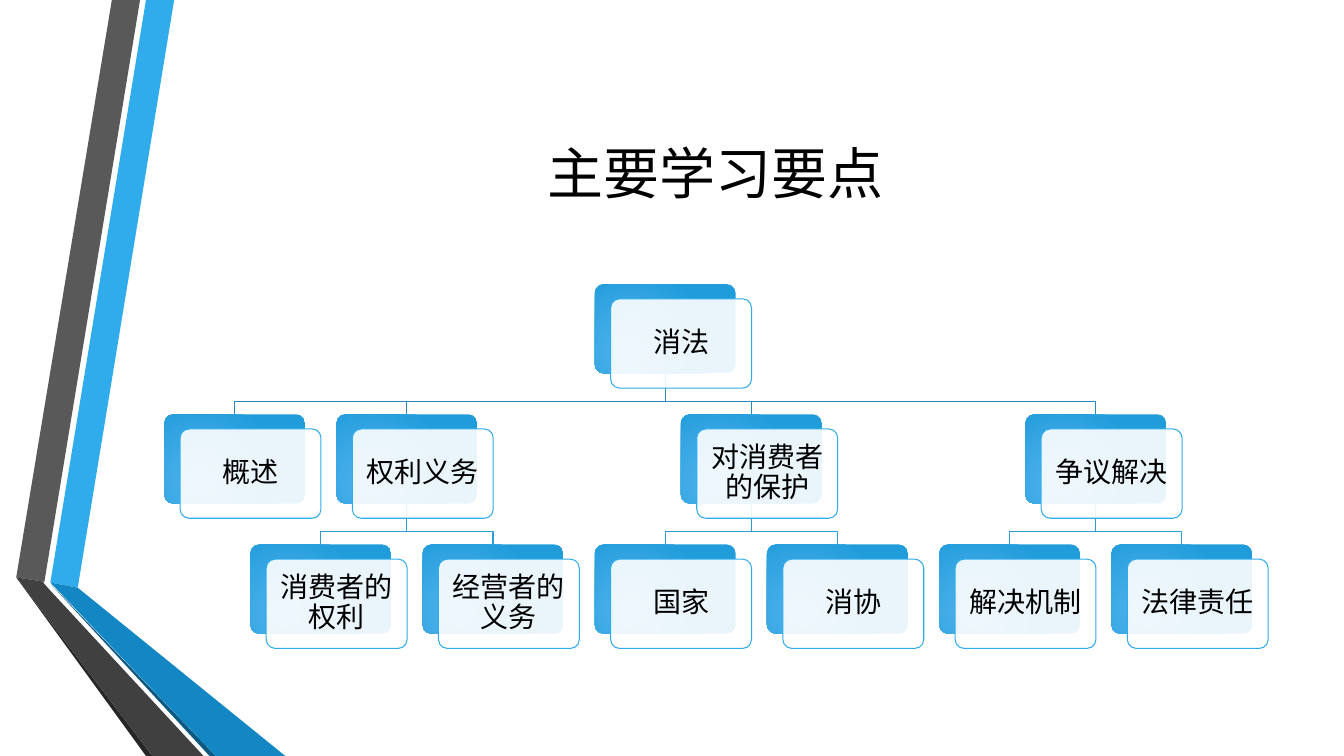
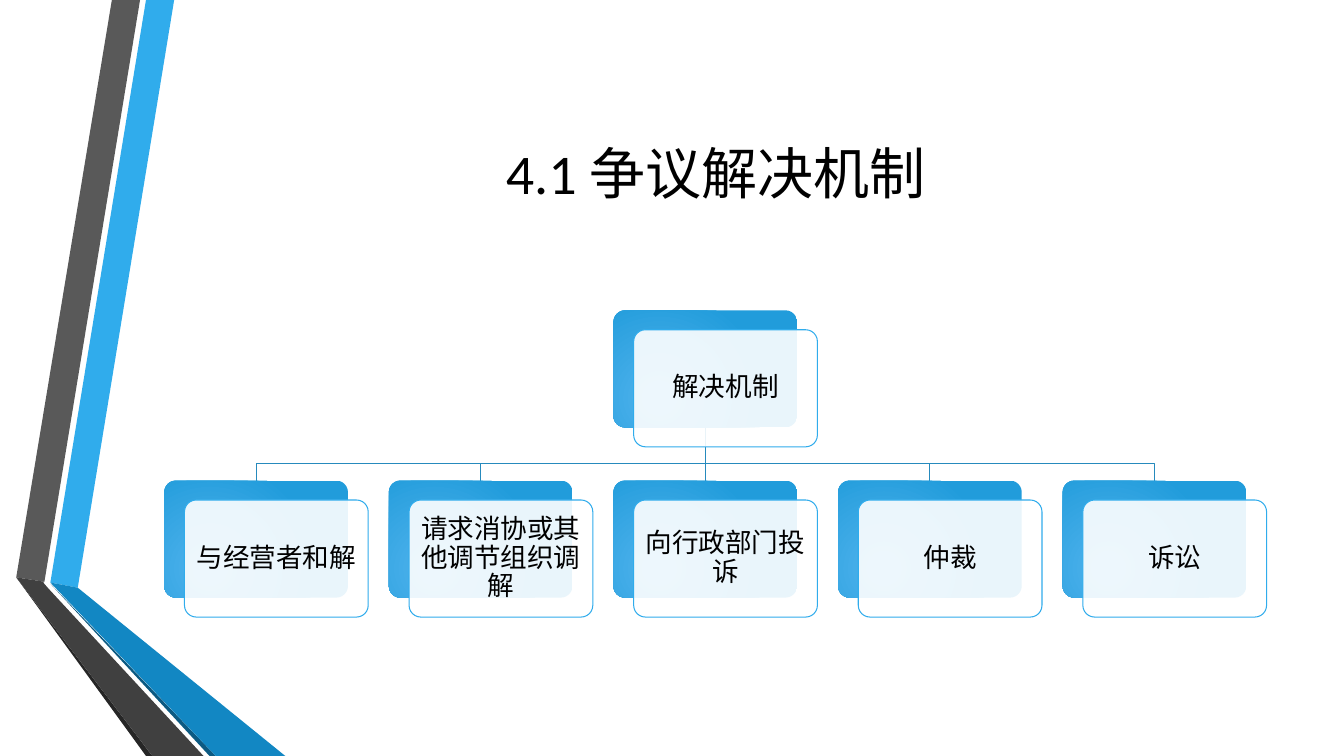
"""Build two slides that show consumer-law topics as tree diagrams."""
from collections.abc import Iterator
from dataclasses import dataclass
from typing import Any

import lxml.etree
import pptx
import pptx.dml.color
import pptx.enum.shapes
import pptx.enum.text
import pptx.oxml.ns
import pptx.util

Cm = pptx.util.Cm
SHAPE = pptx.enum.shapes.MSO_SHAPE
Point = tuple[float, float]

FONT = "Calibri"
BLACK, WHITE, SKY = "000000", "FFFFFF", "30ACEC"
BOX_GLOW, BOX_EDGE = "51B3ED", "219CDB"
LINK_COLORS = ("268ABD", "2C9CD6")
LINE_WIDTH = 0.75


@dataclass(frozen=True)
class Band:
    color: str
    points: tuple[Point, ...]


@dataclass(frozen=True)
class Node:
    text: str
    leaf_column: float = 0
    children: tuple["Node", ...] = ()

    @property
    def column(self) -> float:
        if not self.children:
            return self.leaf_column
        return (self.children[0].column + self.children[-1].column) / 2


@dataclass(frozen=True)
class Tree:
    title: str
    root: Node
    top: float
    width: float
    height: float
    column_step: float
    row_step: float
    shift_x: float
    shift_y: float
    drop: float
    size: float
    left: float = 4.14

    def corner(self, node: Node, level: int) -> Point:
        return (self.left + node.column * self.column_step,
                self.top + level * self.row_step)


BANDS = (
    Band(SKY, ((1.27, 14.68), (1.96, 14.81), (4.39, 0), (3.68, 0))),
    Band("595959", ((3.53, 0), (2.82, 0), (0.41, 14.55), (1.12, 14.66))),
    Band("262626", ((0.41, 14.55), (3.68, 19.05), (3.84, 19.05))),
    Band("0C5A82", ((1.27, 14.71), (5.28, 19.05), (5.44, 19.05))),
    Band("1287C3", ((1.27, 14.68), (5.44, 19.05), (7.19, 19.05), (1.96, 14.81))),
    Band("404040", ((5.13, 19.05), (1.22, 14.83), (1.09, 14.68), (1.12, 14.66),
                    (0.41, 14.55), (3.84, 19.05))),
)

TREES = (
    Tree("主要学习要点",
         Node("消法", children=(
             Node("概述", 0),
             Node("权利义务", children=(
                 Node("消费者的权利", 0.5), Node("经营者的义务", 1.5))),
             Node("对消费者的保护", children=(
                 Node("国家", 2.5), Node("消协", 3.5))),
             Node("争议解决", children=(
                 Node("解决机制", 4.5), Node("法律责任", 5.5))),
         )),
         top=7.16, width=3.55, height=2.25, column_step=4.34, row_step=3.28,
         shift_x=0.4, shift_y=0.37, drop=0.33, size=20),
    Tree("4.1 争议解决机制",
         Node("解决机制", children=tuple(
             Node(text, i) for i, text in enumerate((
                 "与经营者和解", "请求消协或其他调节组织调解", "向行政部门投诉",
                 "仲裁", "诉讼")))),
         top=7.82, width=4.63, height=2.95, column_step=5.66, row_step=4.29,
         shift_x=0.51, shift_y=0.49, drop=0.43, size=19),
)


def rgb(value: str) -> pptx.dml.color.RGBColor:
    return pptx.dml.color.RGBColor.from_string(value)


def apply(target: Any, values: dict[str, Any]) -> None:
    for name, value in values.items():
        setattr(target, name, value)


def add_xml(parent: Any, tag: str, **attributes: str) -> Any:
    return lxml.etree.SubElement(parent, pptx.oxml.ns.qn(tag), attributes)


def fill_solid(sp: Any, color: str) -> None:
    sp.fill.solid()
    sp.fill.fore_color.rgb = rgb(color)


def fill_radial(sp: Any, inner: str, outer: str) -> None:
    sp.fill.gradient()
    grad = sp._element.spPr.find(pptx.oxml.ns.qn("a:gradFill"))
    for child in list(grad):
        grad.remove(child)
    stops = add_xml(grad, "a:gsLst")
    for position, color in (("0", inner), ("100000", outer)):
        add_xml(add_xml(stops, "a:gs", pos=position), "a:srgbClr", val=color)
    circle = add_xml(grad, "a:path", path="circle")
    add_xml(circle, "a:fillToRect", l="50000", t="100000", r="100000", b="50000")


def set_line(sp: Any, color: str) -> None:
    sp.line.color.rgb = rgb(color)
    sp.line.width = pptx.util.Pt(LINE_WIDTH)


def set_text(sp: Any, text: str, size: float, margin: float, spacing: float) -> None:
    tf = sp.text_frame
    inset = Cm(margin)
    apply(tf, {"word_wrap": True,
               "vertical_anchor": pptx.enum.text.MSO_ANCHOR.MIDDLE,
               "margin_left": inset, "margin_right": inset,
               "margin_top": inset, "margin_bottom": inset})
    p = tf.paragraphs[0]
    apply(p, {"alignment": pptx.enum.text.PP_ALIGN.CENTER, "line_spacing": spacing})
    r = p.add_run()
    r.text = text
    apply(r.font, {"name": FONT, "size": pptx.util.Pt(size)})
    r.font.color.rgb = rgb(BLACK)


def add_outline(s: Any, points: tuple[Point, ...], close: bool) -> Any:
    (x, y), *rest = [(Cm(px), Cm(py)) for px, py in points]
    builder = s.shapes.build_freeform(x, y)
    builder.add_line_segments(rest, close=close)
    sp = builder.convert_to_shape()
    sp.shadow.inherit = False
    return sp


def add_band(s: Any, band: Band) -> None:
    sp = add_outline(s, band.points, close=True)
    fill_solid(sp, band.color)
    sp.line.fill.background()


def add_title(s: Any, text: str) -> None:
    sp = s.shapes.add_textbox(Cm(4.11), Cm(1.9), Cm(27.84), Cm(4.88))
    set_text(sp, text, size=40, margin=0.25, spacing=1.0)


def add_link(s: Any, tree: Tree, parent: Node, child: Node, level: int) -> None:
    x1, y1 = tree.corner(parent, level)
    x2, y2 = tree.corner(child, level + 1)
    x1, x2, y1 = x1 + tree.width / 2, x2 + tree.width / 2, y1 + tree.height
    if parent.column == child.column:
        sp = s.shapes.add_connector(pptx.enum.shapes.MSO_CONNECTOR.STRAIGHT,
                                    Cm(x1), Cm(y1), Cm(x2), Cm(y2))
        set_line(sp, LINK_COLORS[level])
        add_xml(sp._element.spPr, "a:effectLst")
        return
    bend = y2 - tree.drop
    sp = add_outline(s, ((x1, y1), (x1, bend), (x2, bend), (x2, y2)), close=False)
    sp.fill.background()
    set_line(sp, LINK_COLORS[level])


def add_card(s: Any, tree: Tree, x: float, y: float) -> Any:
    sp = s.shapes.add_shape(SHAPE.ROUNDED_RECTANGLE, Cm(x), Cm(y),
                            Cm(tree.width), Cm(tree.height))
    sp.adjustments[0] = 0.1
    sp.shadow.inherit = False
    return sp


def add_node(s: Any, tree: Tree, node: Node, level: int) -> None:
    x, y = tree.corner(node, level)
    back = add_card(s, tree, x, y)
    fill_radial(back, BOX_GLOW, BOX_EDGE)
    back.line.fill.background()
    front = add_card(s, tree, x + tree.shift_x, y + tree.shift_y)
    fill_solid(front, WHITE)
    color = front._element.spPr.find(".//" + pptx.oxml.ns.qn("a:srgbClr"))
    add_xml(color, "a:alpha", val="90000")
    set_line(front, SKY)
    set_text(front, node.text, tree.size, margin=0.2, spacing=0.9)


def walk(node: Node, level: int = 0) -> Iterator[tuple[Node, int]]:
    yield node, level
    for child in node.children:
        yield from walk(child, level + 1)


def add_tree_slide(prs: Any, tree: Tree) -> None:
    s = prs.slides.add_slide(prs.slide_layouts[6])
    for band in BANDS:
        add_band(s, band)
    add_title(s, tree.title)
    nodes = list(walk(tree.root))
    for node, level in nodes:
        for child in node.children:
            add_link(s, tree, node, child, level)
    for node, level in nodes:
        add_node(s, tree, node, level)


def main() -> None:
    prs = pptx.Presentation()
    apply(prs, {"slide_width": Cm(33.87), "slide_height": Cm(19.05)})
    for tree in TREES:
        add_tree_slide(prs, tree)
    prs.save("out.pptx")


main()
